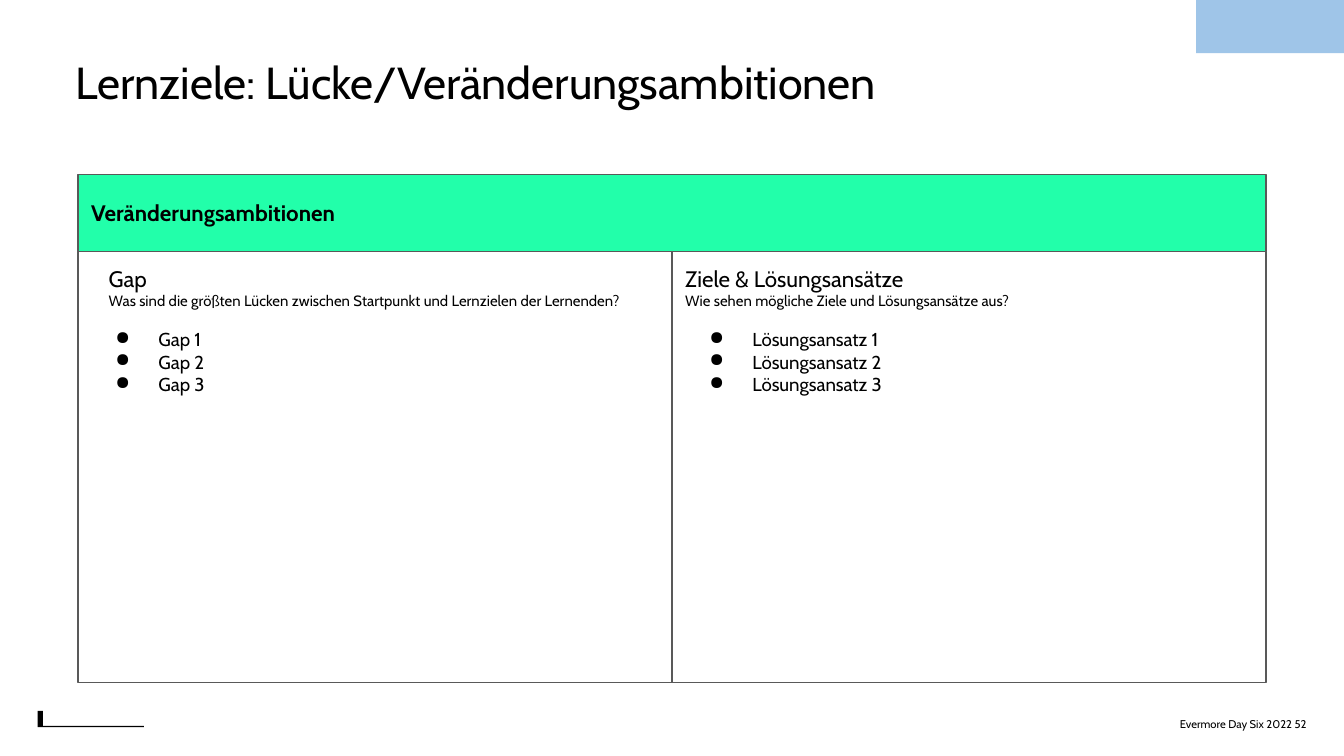
from dataclasses import dataclass
from typing import NamedTuple, Optional

from lxml import etree
from pptx import Presentation
from pptx import util as u
from pptx.dml.color import RGBColor
from pptx.enum import shapes, text
from pptx.oxml import ns

EMU_PER_PX = 4572
FONT = "Cabin"
BLACK = RGBColor(0x00, 0x00, 0x00)
WHITE = RGBColor(0xFF, 0xFF, 0xFF)
GREY = RGBColor(0x59, 0x59, 0x59)
MINT = RGBColor(0x22, 0xFF, 0xAA)
SKY = RGBColor(0x9F, 0xC5, 0xE8)
LEFT, MIDDLE, COLUMN_WIDTH = 116, 1000, 884
HEADER_TOP, HEADER_HEIGHT = 260, 114
BODY_TOP, BODY_HEIGHT = HEADER_TOP + HEADER_HEIGHT, 642
BULLET_INDENT, BULLET_HANGING = 100, 64


class Box(NamedTuple):
    left: int
    top: int
    width: int
    height: int


class Line(NamedTuple):
    wording: str
    size: int
    bold: bool = False
    bullet: bool = False


@dataclass(frozen=True)
class Column:
    left: int
    heading_left: int
    heading: str
    question: str
    item: str


COLUMNS = (
    Column(LEFT, 142, "Gap",
           "Was sind die größten Lücken zwischen Startpunkt und Lernzielen der Lernenden?",
           "Gap"),
    Column(MIDDLE, MIDDLE, "Ziele & Lösungsansätze",
           "Wie sehen mögliche Ziele und Lösungsansätze aus?",
           "Lösungsansatz"),
)


def px(length: int) -> u.Emu:
    return u.Emu(length * EMU_PER_PX)


def emu(box: Box) -> list[u.Emu]:
    return [px(length) for length in box]


def add_bullet(paragraph) -> None:
    properties = paragraph._p.get_or_add_pPr()
    properties.set("marL", str(px(BULLET_INDENT)))
    properties.set("indent", str(px(-BULLET_HANGING)))
    color = etree.SubElement(properties, ns.qn("a:buClr"))
    etree.SubElement(color, ns.qn("a:srgbClr")).set("val", str(BLACK))
    etree.SubElement(properties, ns.qn("a:buChar")).set("char", "●")


def write(shape, lines: list[Line], inset: int = 20, right_inset: Optional[int] = None,
          anchor=text.MSO_ANCHOR.TOP, alignment=text.PP_ALIGN.LEFT) -> None:
    frame = shape.text_frame
    frame_format = {
        "word_wrap": True,
        "vertical_anchor": anchor,
        "margin_left": px(inset),
        "margin_top": px(inset),
        "margin_right": px(inset if right_inset is None else right_inset),
        "margin_bottom": px(inset),
    }
    for name, value in frame_format.items():
        setattr(frame, name, value)
    for index, line in enumerate(lines):
        paragraph = frame.add_paragraph() if index else frame.paragraphs[0]
        paragraph.alignment = alignment
        if line.bullet:
            add_bullet(paragraph)
        run = paragraph.add_run()
        run.text = line.wording
        font_format = {"name": FONT, "size": u.Pt(line.size), "bold": line.bold}
        for name, value in font_format.items():
            setattr(run.font, name, value)
        run.font.color.rgb = BLACK


def add_text(slide, box: Box, lines: list[Line], **layout) -> None:
    write(slide.shapes.add_textbox(*emu(box)), lines, **layout)


def add_block(slide, box: Box, fill: RGBColor, outline: Optional[RGBColor] = None,
              kind=shapes.MSO_SHAPE.RECTANGLE):
    shape = slide.shapes.add_shape(kind, *emu(box))
    shape.shadow.inherit = False
    shape.fill.solid()
    shape.fill.fore_color.rgb = fill
    if outline is None:
        shape.line.fill.background()
    else:
        shape.line.color.rgb = outline
        shape.line.width = u.Pt(0.75)
    return shape


def add_column(slide, column: Column) -> None:
    add_block(slide, Box(column.left, BODY_TOP, COLUMN_WIDTH, BODY_HEIGHT), WHITE, GREY)
    heading_width = column.left + COLUMN_WIDTH - column.heading_left
    add_text(slide, Box(column.heading_left, BODY_TOP, heading_width, 102),
             [Line(column.heading, 12), Line(column.question, 8)])
    items = [Line(f"{column.item} {number}", 10, bullet=True) for number in range(1, 4)]
    add_text(slide, Box(column.left, 468, COLUMN_WIDTH, 548), items)


def main() -> None:
    presentation = Presentation()
    presentation.slide_width, presentation.slide_height = px(2000), px(1125)
    slide = presentation.slides.add_slide(presentation.slide_layouts[6])

    add_text(slide, Box(56, 42, 1866, 132),
             [Line("Lernziele: Lücke/Veränderungsambitionen", 24)], inset=56)
    corner = add_block(slide, Box(56, 1058, 158, 24), BLACK, kind=shapes.MSO_SHAPE.CORNER)
    corner.adjustments[0], corner.adjustments[1] = 0.08, 0.32

    for column in COLUMNS:
        add_column(slide, column)

    header = add_block(slide, Box(LEFT, HEADER_TOP, 2 * COLUMN_WIDTH, HEADER_HEIGHT), MINT, GREY)
    write(header, [Line("Veränderungsambitionen", 12, bold=True)],
          anchor=text.MSO_ANCHOR.MIDDLE)

    add_text(slide, Box(1560, 1054, 384, 46), [Line("Evermore Day Six 2022 52", 6)],
             right_inset=0, anchor=text.MSO_ANCHOR.MIDDLE, alignment=text.PP_ALIGN.RIGHT)
    add_block(slide, Box(1780, 0, 220, 79), SKY)

    presentation.save("out.pptx")


if __name__ == "__main__":
    main()
